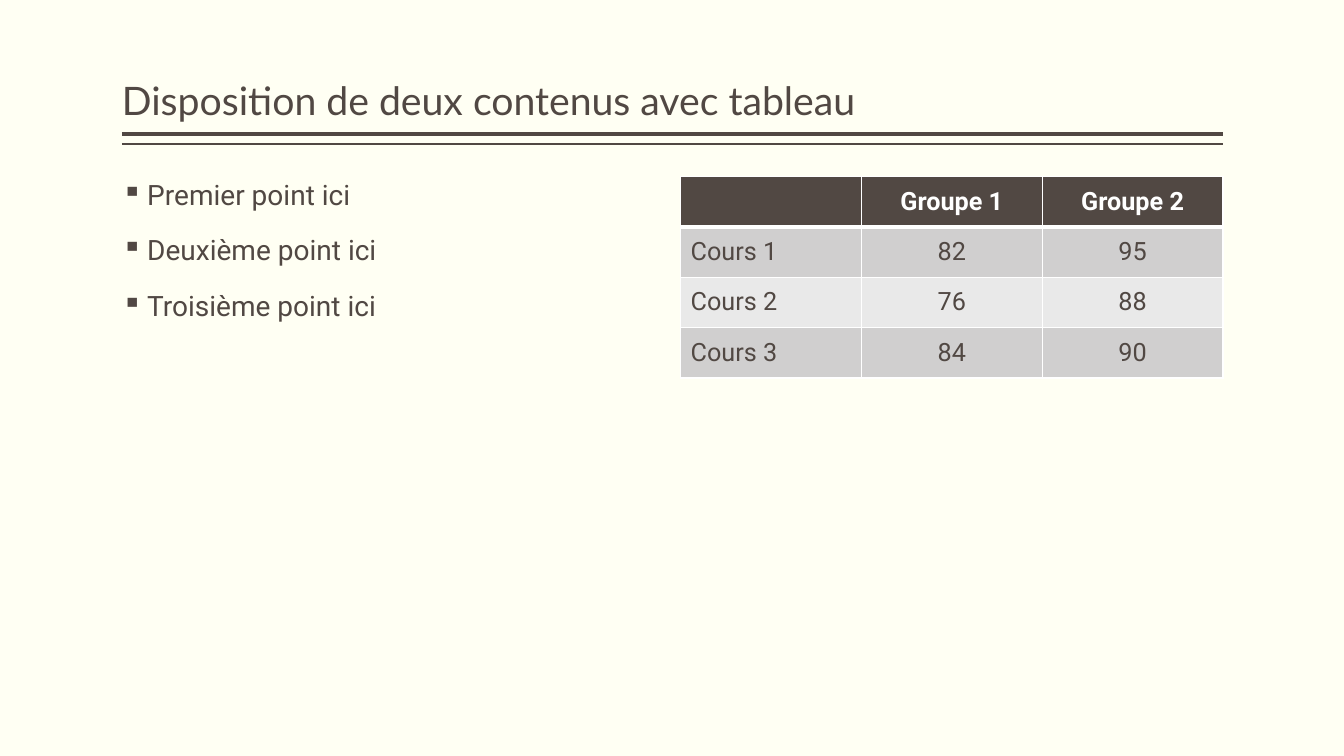
from lxml.etree import SubElement
from pptx import Presentation
from pptx.dml.color import RGBColor
from pptx.enum.shapes import MSO_CONNECTOR
from pptx.enum.text import MSO_ANCHOR, MSO_AUTO_SIZE, PP_ALIGN
from pptx.oxml.ns import qn
from pptx.util import Inches, Pt

BROWN, WHITE, CREAM = "514843", "FFFFFF", "FFFFF3"
BANDS = ["D0CFCF", "E9E9E9"]
POINTS = ["Premier point ici", "Deuxième point ici", "Troisième point ici"]
SCORES = [
    ["", "Groupe 1", "Groupe 2"],
    ["Cours 1", "82", "95"],
    ["Cours 2", "76", "88"],
    ["Cours 3", "84", "90"],
]


def color(hex_string):
    return RGBColor.from_string(hex_string)


def set_font(paragraph, name, size, hex_string, bold=False):
    font = paragraph.font
    font.name, font.size, font.bold = name, Pt(size), bold
    font.color.rgb = color(hex_string)


def set_frame(frame, anchor):
    frame.word_wrap = True
    frame.auto_size = MSO_AUTO_SIZE.NONE
    frame.vertical_anchor = anchor
    frame.margin_left = frame.margin_right = 0
    frame.margin_top = frame.margin_bottom = Inches(0.05)


def add_heading(slide, text, left, top, width, height):
    title = slide.shapes.title
    title.left, title.top = Inches(left), Inches(top)
    title.width, title.height = Inches(width), Inches(height)
    title.text = text
    set_frame(title.text_frame, MSO_ANCHOR.BOTTOM)
    paragraph = title.text_frame.paragraphs[0]
    paragraph.alignment = PP_ALIGN.LEFT
    paragraph.line_spacing = 0.9
    set_font(paragraph, "Lato", 28, BROWN)
    for gap, weight in [(0.05, 3), (0.15, 1)]:
        y = Inches(top + height + gap)
        rule = slide.shapes.add_connector(
            MSO_CONNECTOR.STRAIGHT, Inches(left), y, Inches(left + width), y)
        rule.line.color.rgb = color(BROWN)
        rule.line.width = Pt(weight)
        SubElement(rule._element.spPr, qn("a:effectLst"))


def add_bullets(slide, points, left, top, width, height):
    box = slide.shapes.add_textbox(
        Inches(left), Inches(top), Inches(width), Inches(height))
    frame = box.text_frame
    set_frame(frame, MSO_ANCHOR.TOP)
    frame.text = "\n".join(points)
    for paragraph in frame.paragraphs:
        paragraph.line_spacing = 0.9
        paragraph.space_before = Pt(18)
        set_font(paragraph, "Roboto", 20, BROWN)
        properties = paragraph._p.get_or_add_pPr()
        properties.set("marL", str(Inches(0.25)))
        properties.set("indent", str(-Inches(0.25)))
        bullet = SubElement(properties, qn("a:buChar"))
        bullet.set("char", "▪")
        properties.append(properties.find(qn("a:defRPr")))


def set_borders(cell, top, bottom):
    properties = cell._tc.get_or_add_tcPr()
    for side, weight in [("L", 1), ("R", 1), ("T", top), ("B", bottom)]:
        line = SubElement(properties, qn(f"a:ln{side}"), w=str(Pt(weight)))
        fill = SubElement(line, qn("a:solidFill"))
        SubElement(fill, qn("a:srgbClr"), val=WHITE)


def add_scores(slide, rows, left, top, width, height):
    table = slide.shapes.add_table(
        len(rows), len(rows[0]),
        Inches(left), Inches(top), Inches(width), Inches(height)).table
    for i, row in enumerate(rows):
        header = i == 0
        for j, text in enumerate(row):
            cell = table.cell(i, j)
            set_borders(cell, 3 if i == 1 else 1, 3 if header else 1)
            cell.fill.solid()
            cell.fill.fore_color.rgb = color(BROWN if header else BANDS[(i - 1) % 2])
            cell.vertical_anchor = MSO_ANCHOR.MIDDLE
            cell.text = text
            paragraph = cell.text_frame.paragraphs[0]
            paragraph.alignment = PP_ALIGN.CENTER if j else PP_ALIGN.LEFT
            set_font(paragraph, "Roboto", 18, WHITE if header else BROWN, header)


def main():
    presentation = Presentation()
    presentation.slide_width = Inches(13.33)
    presentation.slide_height = Inches(7.5)
    slide = presentation.slides.add_slide(presentation.slide_layouts[5])
    slide.background.fill.solid()
    slide.background.fill.fore_color.rgb = color(CREAM)
    left, width, column, top = 1.21, 10.92, 5.38, 1.75
    add_heading(slide, "Disposition de deux contenus avec tableau", left, 0.08, width, 1.2)
    add_bullets(slide, POINTS, left, top, column, 5)
    add_scores(slide, SCORES, left + width - column, top, column, 2)
    presentation.save("out.pptx")


if __name__ == "__main__":
    main()
